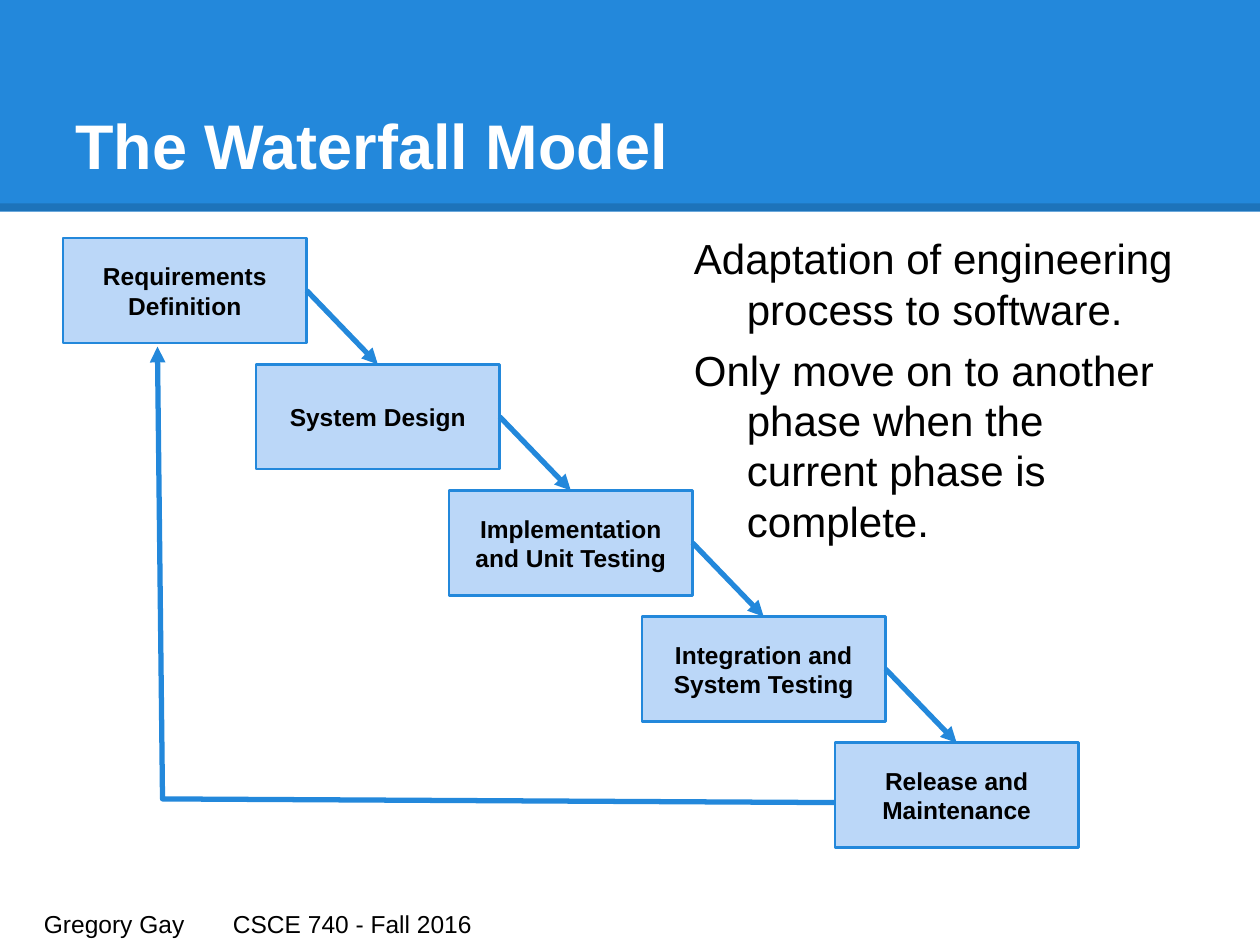
import dataclasses

import pptx
import pptx.dml.color
import pptx.enum.shapes
import pptx.enum.text
import pptx.oxml
import pptx.oxml.ns
import pptx.util

ALIGN = pptx.enum.text.PP_ALIGN
ANCHOR = pptx.enum.text.MSO_ANCHOR
SHAPE = pptx.enum.shapes.MSO_SHAPE
LINE = pptx.enum.shapes.MSO_CONNECTOR.STRAIGHT
WIDE = pptx.util.Inches(10)
HIGH = pptx.util.Inches(7.5)


@dataclasses.dataclass(frozen=True)
class Theme:
    font: str = "Arial"
    blue: str = "2388DB"
    pale: str = "BBD7F8"
    ink: str = "000000"
    white: str = "FFFFFF"
    title: int = 36
    body: int = 24
    label: int = 14


THEME = Theme()


@dataclasses.dataclass(frozen=True)
class Box:
    x: float
    y: float
    w: float
    h: float

    def share(self, x, y, w=0, h=0):
        """Return a box given in percent of this one."""
        across, down = self.w / 100, self.h / 100
        return Box(self.x + x * across, self.y + y * down, w * across, h * down)

    def frame(self):
        return [round(n) for n in (self.x, self.y, self.w, self.h)]

    def point(self):
        return self.frame()[:2]


def color(code):
    return pptx.dml.color.RGBColor.from_string(code)


def add_xml(parent, tag, inner=""):
    """Append a drawing element, its tag given with any attributes."""
    space = pptx.oxml.ns.nsdecls("a")
    name = tag.split()[0]
    parent.append(pptx.oxml.parse_xml(f"<a:{tag} {space}>{inner}</a:{name}>"))


def write(shape, *lines, size=THEME.label, ink=THEME.ink, bold=False,
          align=ALIGN.LEFT, anchor=ANCHOR.TOP, gap=0, left=0, hang=0, tab=None):
    """Fill a shape with paragraphs; gap is in points, indents and tab in inches."""
    frame = shape.text_frame
    frame.word_wrap = True
    frame.vertical_anchor = anchor
    frame.margin_left = frame.margin_right = pptx.util.Inches(0.1)
    frame.margin_top = frame.margin_bottom = pptx.util.Inches(0.1)
    for i, line in enumerate(lines):
        para = frame.add_paragraph() if i else frame.paragraphs[0]
        para.text = line
        para.alignment = align
        if i:
            para.space_before = pptx.util.Pt(gap)
        props = para._p.get_or_add_pPr()
        props.set("marL", str(pptx.util.Inches(left)))
        props.set("indent", str(pptx.util.Inches(hang)))
        if tab:
            add_xml(props, "tabLst",
                    f'<a:tab pos="{pptx.util.Inches(tab)}" algn="l"/>')
        for run in para.runs:
            run.font.name = THEME.font
            run.font.size = pptx.util.Pt(size)
            run.font.bold = bold
            run.font.color.rgb = color(ink)


def add_text(slide, box, *lines, **style):
    write(slide.shapes.add_textbox(*box.frame()), *lines, **style)


def add_rect(slide, box, fill, edge=None):
    rect = slide.shapes.add_shape(SHAPE.RECTANGLE, *box.frame())
    rect.shadow.inherit = False
    rect.fill.solid()
    rect.fill.fore_color.rgb = color(fill)
    if edge:
        rect.line.color.rgb = color(edge)
        rect.line.width = pptx.util.Pt(1.5)
    else:
        rect.line.fill.background()
    return rect


def ink_line(shape, code, width, head=True):
    shape.line.color.rgb = color(code)
    shape.line.width = pptx.util.Pt(width)
    if head:
        add_xml(shape.line._get_or_add_ln(), 'tailEnd type="triangle"')


def add_line(slide, start, end, code, width, head=True):
    line = slide.shapes.add_connector(LINE, *start.point(), *end.point())
    ink_line(line, code, width, head)
    add_xml(line._element.spPr, "effectLst")
    return line


def draw_head(slide, box):
    add_rect(slide, box, THEME.blue)
    rule = add_line(slide, box.share(0, 98), box.share(100, 98),
                    THEME.ink, 4.5, head=False)
    tint = rule.line._get_or_add_ln().find(".//" + pptx.oxml.ns.qn("a:srgbClr"))
    add_xml(tint, 'alpha val="15000"')
    add_text(slide, box.share(5, 18, 90, 74), "The Waterfall Model",
             size=THEME.title, ink=THEME.white, bold=True, anchor=ANCHOR.BOTTOM)


def draw_steps(slide, box, names):
    """Set the steps as a stair from top left to bottom right, with a way back."""
    wide, high = 24, 17.2
    last = len(names) - 1
    cards = []
    for i, name in enumerate(names):
        spot = box.share(i * (100 - wide) / last, i * (100 - high) / last, wide, high)
        card = add_rect(slide, spot, THEME.pale, THEME.blue)
        write(card, name, bold=True, align=ALIGN.CENTER, anchor=ANCHOR.MIDDLE)
        cards.append((card, spot))
    for (card, spot), (below, goal) in zip(cards, cards[1:]):
        arrow = add_line(slide, spot.share(100, 50), goal.share(50, 0),
                         THEME.blue, 3)
        arrow.begin_connect(card, 3)
        arrow.end_connect(below, 0)
    turns = [box.share(x, y).point()
             for x, y in ((100 - wide, 92.6), (9.8, 92), (9.3, 17.8))]
    route = slide.shapes.build_freeform(*turns[0])
    route.add_line_segments(turns[1:], close=False)
    loop = route.convert_to_shape()
    loop.shadow.inherit = False
    loop.fill.background()
    ink_line(loop, THEME.blue, 3)


def draw_notes(slide, box):
    add_text(slide, box,
             "Adaptation of engineering process to software.",
             "Only move on to another phase when the current phase is complete.",
             size=THEME.body, gap=6, left=0.5, hang=-0.42)


def draw_foot(slide, box):
    add_text(slide, box, "Gregory Gay\tCSCE 740 - Fall 2016", tab=6)


def main():
    deck = pptx.Presentation()
    deck.slide_width, deck.slide_height = WIDE, HIGH
    slide = deck.slides.add_slide(deck.slide_layouts[6])
    page = Box(0, 0, WIDE, HIGH)
    draw_head(slide, page.share(0, 0, 100, 22.4))
    draw_notes(slide, page.share(53.3, 23.3, 41.7, 69.5))
    draw_steps(slide, page.share(5, 25.2, 80.6, 64.5), (
        "Requirements Definition",
        "System Design",
        "Implementation and Unit Testing",
        "Integration and System Testing",
        "Release and Maintenance",
    ))
    draw_foot(slide, page.share(2.5, 94.9, 95.1, 4))
    deck.save("out.pptx")


if __name__ == "__main__":
    main()
